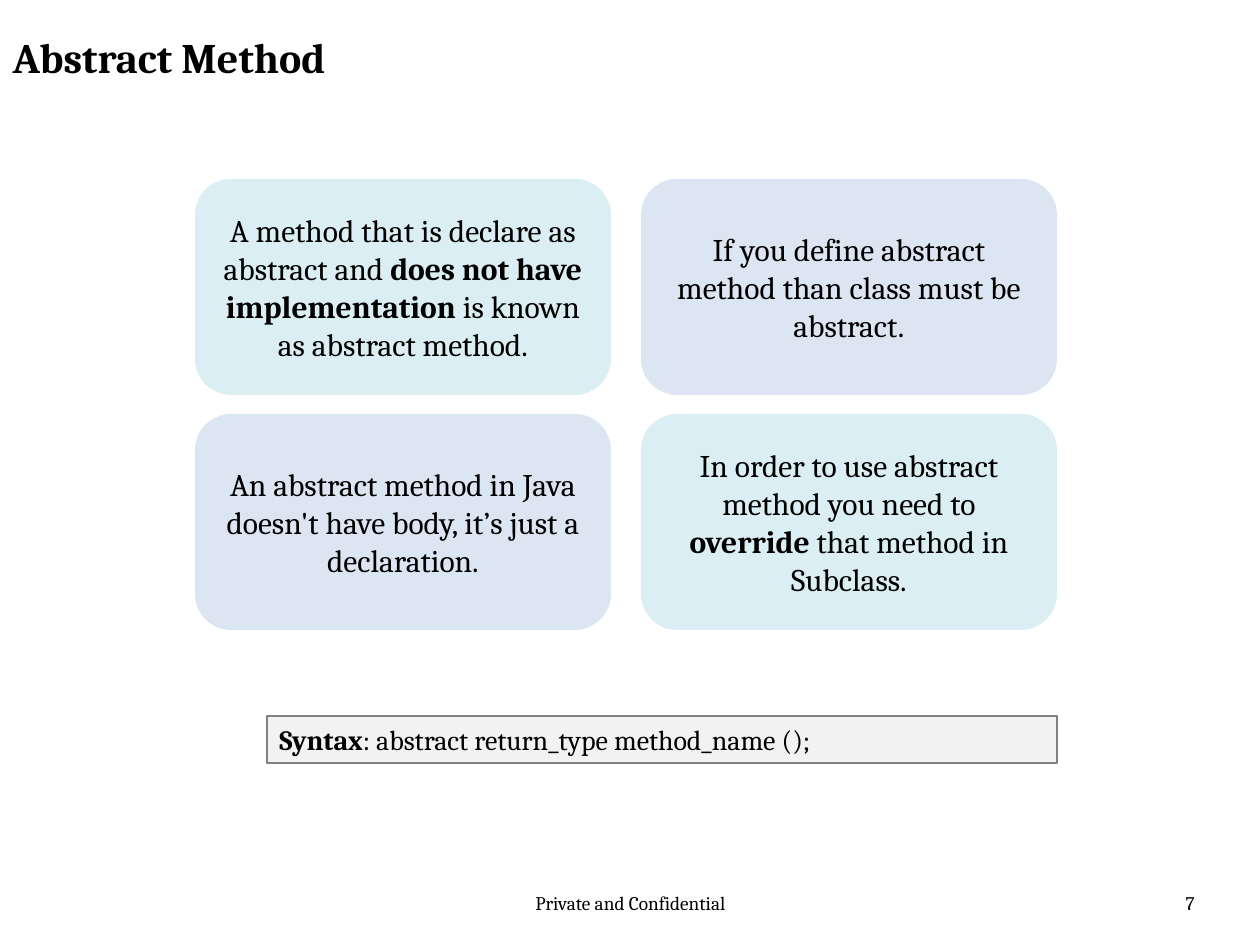
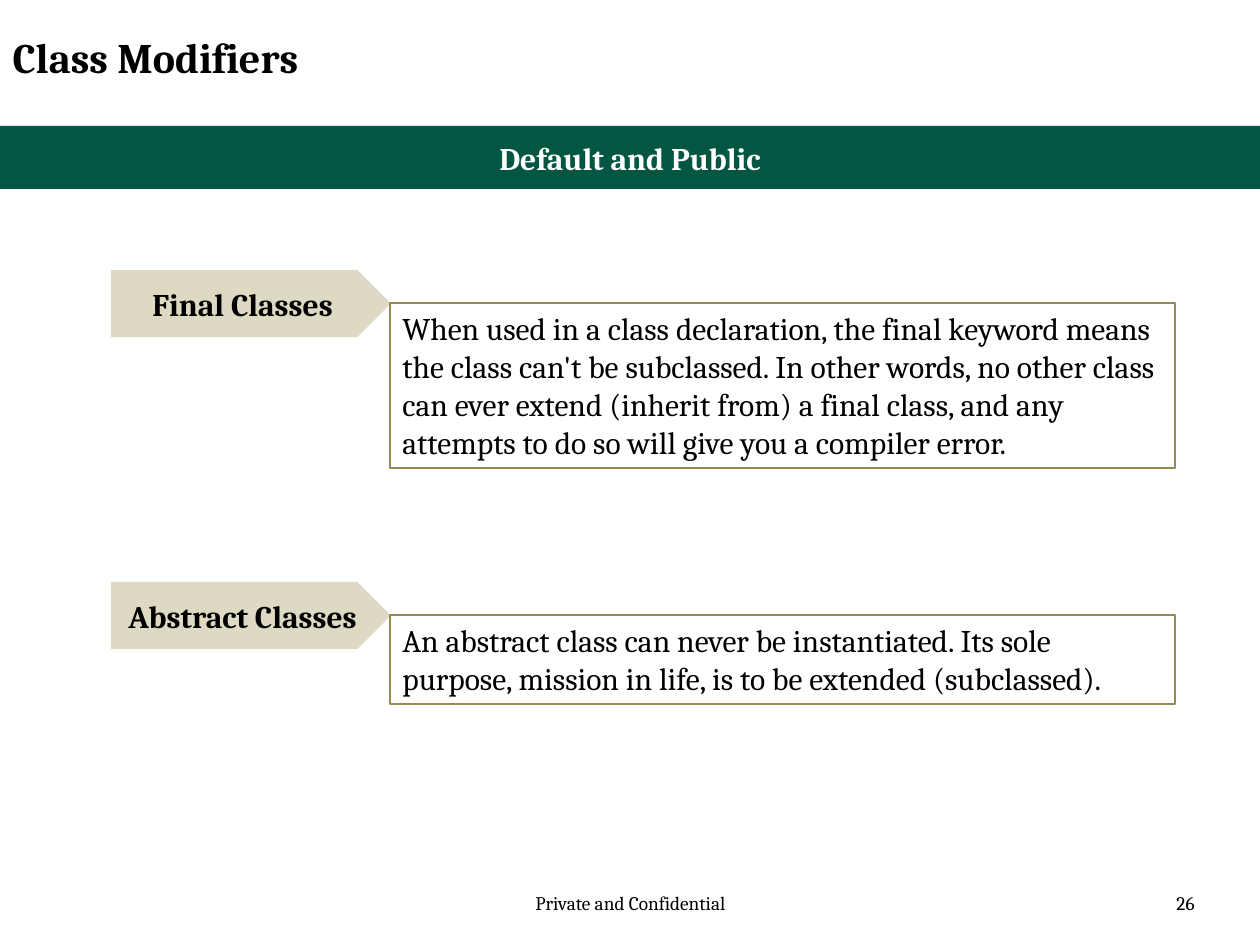
from pptx import Presentation
from pptx.dml.color import RGBColor
from pptx.enum.shapes import MSO_SHAPE
from pptx.enum.text import MSO_ANCHOR, PP_ALIGN
from pptx.util import Emu, Pt

PIXELS_PER_INCH = 126
SLIDE_WIDTH, SLIDE_HEIGHT = 1260, 945
TITLE_ONLY_LAYOUT = 5
FONT_NAME = "Cambria"
COLORS = {
    "text": "000000",
    "white": "FFFFFF",
    "aqua": "DBEEF4",
    "blue": "DCE6F2",
    "grey": "F2F2F2",
    "grey_line": "808080",
    "green": "035642",
    "sand": "DDD9C3",
    "olive": "948A54",
}
TITLE_FORMAT = {"size": 24, "bold": True, "align": PP_ALIGN.LEFT, "line_spacing": 0.9}
FOOTER_FORMAT = {"size": 11, "anchor": MSO_ANCHOR.TOP}
CARD_FORMAT = {"align": PP_ALIGN.CENTER}
HEADING_FORMAT = {"align": PP_ALIGN.CENTER, "bold": True}
NOTE_FORMAT = {"anchor": MSO_ANCHOR.TOP}

METHOD_CARDS = [
    ["A method that is declare as abstract and **does not have implementation** is known as abstract method.",
     "If you define abstract method than class must be abstract."],
    ["An abstract method in Java doesn't have body, it’s just a declaration.",
     "In order to use abstract method you need to **override** that method in Subclass."],
]
CLASS_MODIFIERS = [
    ("Final Classes", 270, 165,
     "When used in a class declaration, the final keyword means the class can't be subclassed. "
     "In other words, no other class can ever extend (inherit from) a final class, and any "
     "attempts to do so will give you a compiler error."),
    ("Abstract Classes", 582, 89,
     "An abstract class can never be instantiated. Its sole purpose, mission in life, "
     "is to be extended (subclassed)."),
]


def px(length):
    return Emu(round(length * 914400 / PIXELS_PER_INCH))


def color(name):
    return RGBColor.from_string(COLORS[name])


def set_text(shape, text, size=18, bold=False, font_color="text", anchor=MSO_ANCHOR.MIDDLE,
             align=PP_ALIGN.LEFT, line_spacing=None):
    """Fill the shape with one paragraph; **marks** switch bold on and off."""
    frame = shape.text_frame
    frame.word_wrap = True
    frame.vertical_anchor = anchor
    paragraph = frame.paragraphs[0]
    paragraph.alignment = align
    paragraph.line_spacing = line_spacing
    for index, part in enumerate(text.split("**")):
        run = paragraph.add_run()
        run.text = part
        font_format = {"name": FONT_NAME, "size": Pt(size), "bold": bold or index % 2 == 1}
        for attribute, value in font_format.items():
            setattr(run.font, attribute, value)
        run.font.color.rgb = color(font_color)


def add_box(slide, kind, place, text, text_format, fill=None, line=None):
    shape = slide.shapes.add_shape(kind, *map(px, place))
    shape.shadow.inherit = False
    if fill:
        shape.fill.solid()
        shape.fill.fore_color.rgb = color(fill)
    else:
        shape.fill.background()
    if line:
        shape.line.color.rgb = color(line)
        shape.line.width = Pt(0.75)
    else:
        shape.line.fill.background()
    set_text(shape, text, **text_format)


def add_footer_text(slide, left, width, text, align):
    box = slide.shapes.add_textbox(*map(px, (left, 885, width, 50)))
    set_text(box, text, align=align, **FOOTER_FORMAT)


def add_slide(presentation, title_text, page_number):
    slide = presentation.slides.add_slide(presentation.slide_layouts[TITLE_ONLY_LAYOUT])
    title = slide.shapes.title
    placement = {"left": 0, "top": 21, "width": 955, "height": 78}
    for attribute, length in placement.items():
        setattr(title, attribute, px(length))
    set_text(title, title_text, **TITLE_FORMAT)
    add_footer_text(slide, 431, 399, "Private and Confidential", PP_ALIGN.CENTER)
    add_footer_text(slide, 914, 293, str(page_number), PP_ALIGN.RIGHT)
    return slide


def add_card_grid(slide, rows):
    """Lay out rounded cards whose two fills alternate like a chessboard."""
    for row, texts in enumerate(rows):
        for column, text in enumerate(texts):
            place = (195 + column * 446, 179 + row * 235, 416, 216)
            fill = ("aqua", "blue")[(row + column) % 2]
            add_box(slide, MSO_SHAPE.ROUNDED_RECTANGLE, place, text, CARD_FORMAT, fill=fill)


def add_labelled_note(slide, label, top, note_height, note):
    add_box(slide, MSO_SHAPE.PENTAGON, (111, top, 280, 67), label, HEADING_FORMAT, fill="sand")
    add_box(slide, MSO_SHAPE.RECTANGLE, (390, top + 33, 785, note_height), note,
            NOTE_FORMAT, line="olive")


def build_abstract_method(presentation):
    slide = add_slide(presentation, "Abstract Method", 7)
    add_box(slide, MSO_SHAPE.RECTANGLE, (267, 716, 790, 47),
            "**Syntax**: abstract return_type method_name ();",
            {**NOTE_FORMAT, "size": 16}, fill="grey", line="grey_line")
    add_card_grid(slide, METHOD_CARDS)


def build_class_modifiers(presentation):
    slide = add_slide(presentation, "Class Modifiers", 26)
    add_box(slide, MSO_SHAPE.RECTANGLE, (0, 126, SLIDE_WIDTH, 63), "Default and Public",
            {**HEADING_FORMAT, "font_color": "white"}, fill="green")
    for modifier in CLASS_MODIFIERS:
        add_labelled_note(slide, *modifier)


def main():
    presentation = Presentation()
    presentation.slide_width = px(SLIDE_WIDTH)
    presentation.slide_height = px(SLIDE_HEIGHT)
    build_abstract_method(presentation)
    build_class_modifiers(presentation)
    presentation.save("out.pptx")


if __name__ == "__main__":
    main()
